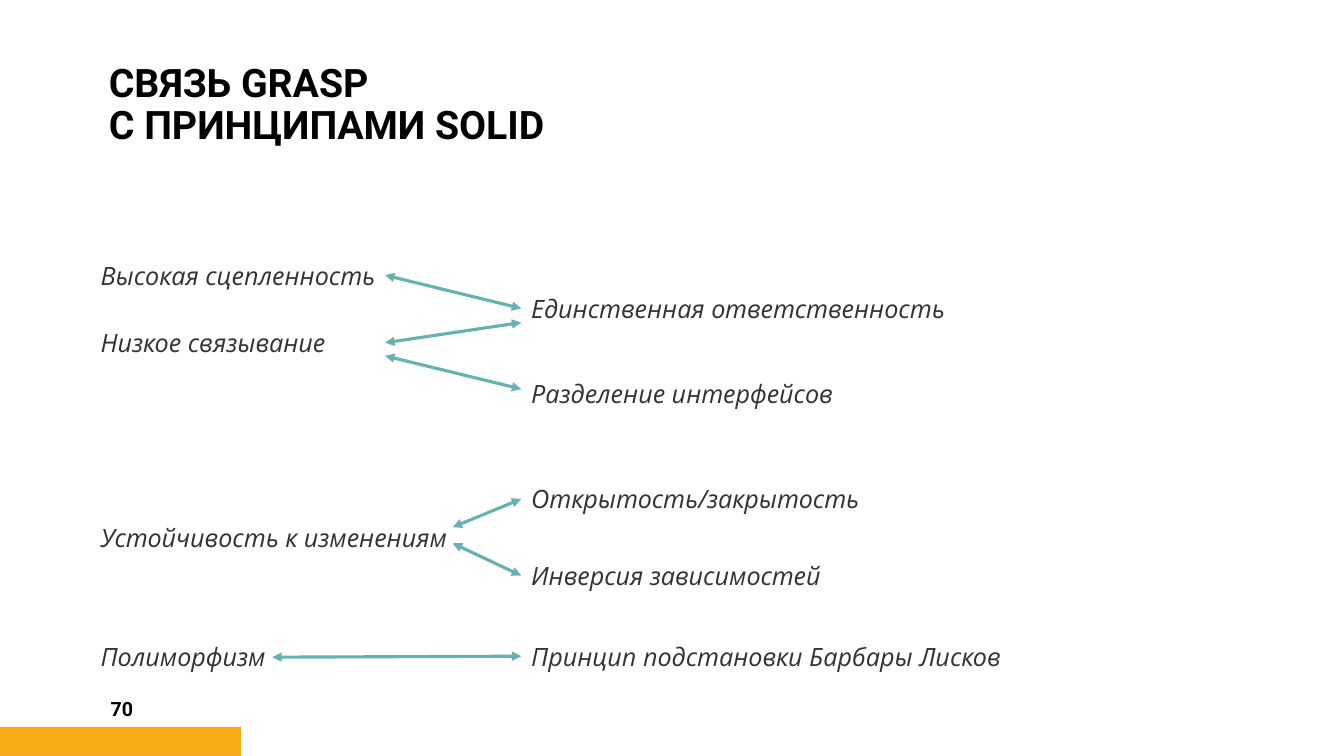
from lxml import etree
from pptx import Presentation
from pptx import util as u
from pptx.dml.color import RGBColor
from pptx.enum import shapes, text
from pptx.oxml import ns

UNIT = 9144
BLACK = RGBColor(0x00, 0x00, 0x00)
GRAY = RGBColor(0x33, 0x33, 0x33)
TEAL = RGBColor(0x66, 0xB2, 0xB0)
AMBER = RGBColor(0xF9, 0xAA, 0x19)

HEAD = {"name": "Roboto", "size": u.Pt(28), "bold": True}
PAGE = {"name": "Roboto", "size": u.Pt(14), "bold": True}
TERM = {"name": "Open Sans", "size": u.Pt(18), "italic": True}

GRASP = [
    ("Высокая сцепленность", 0),
    ("Низкое связывание", 67),
    ("Устойчивость к изменениям", 260),
    ("Полиморфизм", 378),
]
SOLID = [
    ("Единственная ответственность", 33),
    ("Разделение интерфейсов", 117),
    ("Открытость/закрытость", 222),
    ("Инверсия зависимостей", 298),
    ("Принцип подстановки Барбары Лисков", 378),
]
LINKS = [
    (292, 20, 54, 0),
    (292, 87, 67, None),
    (292, 100, 133, None),
    (359, 286, 319, 3),
    (359, 270, 242, 2),
    (180, 399, 399, 4),
]


def px(*nums):
    return [u.Emu(n * UNIT) for n in nums]


def style(font, form, color):
    for key, val in form.items():
        setattr(font, key, val)
    font.color.rgb = color


def write(shape, words, form, color, anchor):
    frame = shape.text_frame
    frame.word_wrap = True
    frame.vertical_anchor = anchor
    frame.text = words
    para = frame.paragraphs[0]
    para.alignment = text.PP_ALIGN.LEFT
    for run in para.runs:
        style(run.font, form, color)
    return frame


def title(slide, box):
    shape = slide.shapes.title
    shape.left, shape.top, shape.width, shape.height = px(*box)
    frame = write(shape, "СВЯЗЬ GRASP\vС ПРИНЦИПАМИ SOLID", HEAD, BLACK,
                  text.MSO_ANCHOR.BOTTOM)
    frame.auto_size = text.MSO_AUTO_SIZE.NONE
    frame.paragraphs[0].line_spacing = 0.9


def footer(slide, box):
    left, top, width, height = box
    bar = slide.shapes.add_shape(shapes.MSO_SHAPE.RECTANGLE,
                                 *px(left, top + 38, width, height - 38))
    bar.shadow.inherit = False
    bar.fill.solid()
    bar.fill.fore_color.rgb = AMBER
    bar.line.fill.background()
    page = slide.shapes.add_textbox(*px(left + 100, top, 130, 40))
    write(page, "70", PAGE, BLACK, text.MSO_ANCHOR.MIDDLE)


def column(slide, box, rows):
    left, top, width, height = box
    terms = []
    for words, drop in rows:
        term = slide.shapes.add_textbox(*px(left, top + drop, width, height))
        frame = write(term, words, TERM, GRAY, text.MSO_ANCHOR.TOP)
        frame.auto_size = text.MSO_AUTO_SIZE.SHAPE_TO_FIT_TEXT
        terms.append(term)
    return terms


def arrow(slide, start, end, term):
    link = slide.shapes.add_connector(shapes.MSO_CONNECTOR.STRAIGHT,
                                      *px(*start, *end))
    if term is not None:
        link.end_connect(term, 1)
    link.line.color.rgb = TEAL
    link.line.width = u.Pt(2.25)
    line = link.line._get_or_add_ln()
    for tip in ("a:headEnd", "a:tailEnd"):
        etree.SubElement(line, ns.qn(tip), type="triangle")
    etree.SubElement(link._element.spPr, ns.qn("a:effectLst"))


def diagram(slide, box):
    left, top, width, height = box
    wide, gap = 667, 427
    column(slide, (left, top, wide, 40), GRASP)
    terms = column(slide, (left + gap, top, wide, 40), SOLID)
    for begin, rise, fall, goal in LINKS:
        term = None if goal is None else terms[goal]
        arrow(slide, (left + begin, top + rise), (left + gap, top + fall), term)


def main():
    deck = Presentation()
    deck.slide_width, deck.slide_height = px(1333, 750)
    slide = deck.slides.add_slide(deck.slide_layouts[5])
    footer(slide, (0, 683, 239, 67))
    title(slide, (98, 15, 675, 137))
    diagram(slide, (90, 253, 1094, 418))
    deck.save("out.pptx")


if __name__ == "__main__":
    main()
